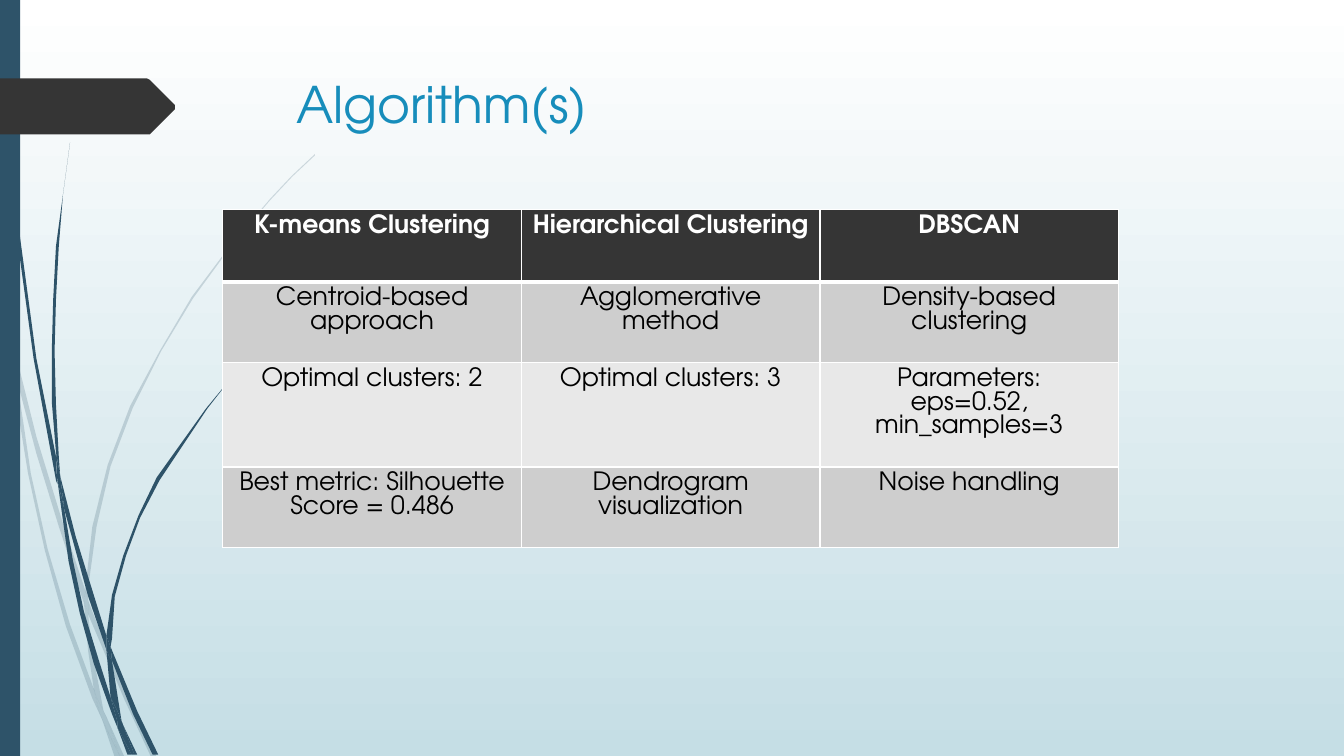
from lxml import etree
from pptx import Presentation
from pptx.dml.color import RGBColor
from pptx.enum.shapes import MSO_SHAPE as SHAPE
from pptx.enum.text import MSO_ANCHOR as ANCHOR, PP_ALIGN as ALIGN
from pptx.oxml.ns import qn
from pptx.util import Pt

FONT = "TeX Gyre Adventor"
COLORS = {
    "sky": "FFFFFF", "mist": "C5DEE5", "stem": "2E5369", "dark": "353535",
    "title": "178DBB", "white": "FFFFFF", "black": "000000",
    "band": "CECECE", "light": "E8E8E8",
}

# Outlines of the grass blades at the left edge, in points
PALE_BLADES = [
    [(7.9, 252), (6.5, 231.8), (0, 203), (0, 215.3), (7.2, 247.7)],
    [(41.8, 375.8), (60.5, 431.3), (61.2, 421.9), (44.6, 374.4), (26, 311.8),
     (10.1, 248.4), (12.2, 270.7), (25.9, 323.5)],
    [(66.2, 437), (63.4, 429.1), (63.4, 439.2), (88.6, 499.7), (108, 540.7),
     (111.6, 540.7), (91.4, 498.2)],
    [(85.7, 540.7), (89.3, 540.7), (75.6, 511.9)],
    [(67, 491.8), (50.4, 445.7), (34.5, 392.2), (22.3, 337.7), (17, 304.2),
     (12.2, 270.7), (7.9, 252), (13.2, 295.2), (20.2, 338.4), (31.6, 393),
     (46.8, 447.1), (66.2, 499), (72.7, 514.1), (71.3, 509)],
    [(60.5, 431.3), (62.6, 465.1), (67, 491.8), (69.1, 498.2), (75.6, 511.9),
     (74.2, 508.3), (65.5, 465.1), (63.4, 439.2), (63.4, 437.8)],
    [(63.4, 420.5), (68.6, 375.8), (79.2, 332.6), (95.3, 291.2), (115.2, 251.3),
     (138.4, 212.8), (164.9, 176.4), (193, 142.6), (208.8, 126), (224.6, 110.9),
     (224.6, 110.2), (208.1, 126), (193, 141.8), (164.2, 175.7), (137.3, 212),
     (113.8, 250.6), (93.2, 290.2), (77, 331.9), (65.9, 375.7), (61.2, 420.5),
     (61.2, 421.9), (63.4, 429.1)],
    [(72.7, 514.1), (82.1, 540.7), (85.7, 540.7)],
    [(63.4, 437.8), (63.4, 439.2), (63.4, 429.1), (61.2, 421.9), (60.5, 431.3)],
    [(69.1, 498.2), (67, 491.8), (71.3, 509), (72.7, 514.1), (85.7, 540.7),
     (75.6, 511.9)],
]
DARK_BLADES = [
    [(5, 79.2), (12.2, 167.8), (23.8, 255.6), (40.3, 343.4), (41, 346.3),
     (39.6, 329), (39.6, 326.2), (25.9, 255.6), (13.7, 167), (5.8, 78.5),
     (3.6, 34.6), (2.9, 0), (2.2, 0), (2.9, 34.6)],
    [(63.4, 426.2), (76.3, 464.4), (76.3, 455.8), (76.3, 454.3), (67, 424.8),
     (54, 382.9), (43.2, 339.8), (46.1, 363.6)],
    [(81.4, 467.3), (79.2, 461.5), (79.9, 472.3), (95, 509.8), (109.4, 539.3),
     (113, 539.3), (97.9, 508.3)],
    [(79.2, 497.5), (70.6, 473), (60.1, 437), (51.8, 400.3), (46.1, 363.6),
     (41, 343.4), (49, 401), (56.9, 437.8), (67, 474.5), (79.9, 509.8),
     (84.2, 519.8), (83.5, 516.2)],
    [(43.2, 339.8), (41.8, 326.2), (39.5, 288.7), (38.9, 251.3), (39.5, 213.8),
     (41.8, 176.4), (45.4, 139), (50.4, 101.5), (44.6, 139), (40.3, 176.4),
     (38.1, 213.5), (37.4, 251.3), (37.4, 287.3), (39.6, 323.3)],
    [(95.8, 539.3), (97.9, 539.3), (87.8, 517.7)],
    [(41, 343.4), (46.1, 363.6), (43.2, 339.8), (39.6, 323.3), (39.6, 326.2)],
    [(79.9, 455.8), (82.5, 426.3), (90, 397.4), (100.5, 369.5), (113.8, 342.7),
     (147.6, 292.3), (166.3, 269.3), (176.4, 258.5), (187.9, 247.7),
     (187.2, 247.7), (176.4, 257.8), (166.3, 268.6), (146.9, 291.6),
     (112.3, 341.3), (98.7, 368.5), (87.8, 396.7), (80.2, 425.2),
     (76.3, 454.3), (79.2, 461.5)],
    [(84.2, 519.8), (91.4, 539.3), (94.3, 539.3)],
    [(76.3, 464.4), (79.2, 497.5), (83.5, 508.3), (87.8, 517.7), (87.1, 515.5),
     (79.9, 472.3), (78.5, 468.7)],
    [(76.3, 464.4), (78.5, 468.7), (79.9, 472.3), (79.2, 461.5), (76.3, 454.3)],
    [(83.5, 508.3), (79.2, 497.5), (83.5, 516.2), (84.2, 519.8), (93.6, 539.3),
     (95.8, 539.3), (87.8, 517.7)],
]
PAGE_TAG = [(0, 56.2), (105.1, 56.2), (106.6, 56.9), (124.6, 74.9), (125, 76.3),
            (124.6, 77.8), (106.6, 95.8), (105.1, 96.5), (0, 95.8)]

ALGORITHMS = [
    ["K-means Clustering", "Hierarchical Clustering", "DBSCAN"],
    ["Centroid-based approach", "Agglomerative method", "Density-based clustering"],
    ["Optimal clusters: 2", "Optimal clusters: 3",
     "Parameters:\neps=0.52, min_samples=3"],
    ["Best metric: Silhouette Score = 0.486", "Dendrogram visualization",
     "Noise handling"],
]
ROW_HEIGHTS = [51.8, 57.6, 74.4, 57.6]


def rgb(name):
    return RGBColor.from_string(COLORS[name])


class SlideBuilder:
    def __init__(self, slide, font):
        self.slide, self.font = slide, font

    def background(self, top, bottom):
        fill = self.slide.background.fill
        fill.gradient()
        fill.gradient_angle = 270
        for stop, name, pos in zip(fill.gradient_stops, (top, bottom), (0, 1)):
            stop.color.rgb = rgb(name)
            stop.position = pos

    def paint(self, sp, color, alpha=None):
        """Give a shape a plain fill, with alpha in percent, and no line or shadow."""
        sp.shadow.inherit = False
        sp.line.fill.background()
        sp.fill.solid()
        sp.fill.fore_color.rgb = rgb(color)
        if alpha is not None:
            clr = sp.fill._xPr.find(".//" + qn("a:srgbClr"))
            etree.SubElement(clr, qn("a:alpha"), val=str(alpha * 1000))

    def outline(self, points, color, alpha=None):
        fb = self.slide.shapes.build_freeform(*points[0], scale=Pt(1))
        fb.add_line_segments(points[1:], close=True)
        self.paint(fb.convert_to_shape(), color, alpha)

    def rect(self, x, y, w, h, color):
        sp = self.slide.shapes.add_shape(SHAPE.RECTANGLE, Pt(x), Pt(y), Pt(w), Pt(h))
        self.paint(sp, color)

    def style(self, p, size, color, bold=False):
        f = p.font
        f.name, f.size, f.bold = self.font, Pt(size), bold
        f.color.rgb = rgb(color)

    def text(self, x, y, w, h, text, size, color):
        tf = self.slide.shapes.add_textbox(Pt(x), Pt(y), Pt(w), Pt(h)).text_frame
        tf.word_wrap = True
        tf.text = text
        self.style(tf.paragraphs[0], size, color)

    def borders(self, cell, bottom):
        tcPr = cell._tc.get_or_add_tcPr()
        widths = {"lnL": 1, "lnR": 1, "lnT": 1, "lnB": bottom}
        for i, (tag, width) in enumerate(widths.items()):
            ln = etree.Element(qn("a:" + tag), w=str(Pt(width)))
            fill = etree.SubElement(ln, qn("a:solidFill"))
            etree.SubElement(fill, qn("a:srgbClr"), val=COLORS["white"])
            tcPr.insert(i, ln)

    def table(self, x, y, col_width, heights, rows):
        n = len(rows[0])
        table = self.slide.shapes.add_table(
            len(rows), n, Pt(x), Pt(y), Pt(col_width * n), Pt(sum(heights))).table
        for col in table.columns:
            col.width = Pt(col_width)
        for i, (row, height) in enumerate(zip(rows, heights)):
            table.rows[i].height = Pt(height)
            head = i == 0
            fill = "dark" if head else "band" if i % 2 else "light"
            for j, text in enumerate(row):
                cell = table.cell(i, j)
                cell.text = text
                cell.vertical_anchor = ANCHOR.TOP
                cell.fill.solid()
                cell.fill.fore_color.rgb = rgb(fill)
                # The rule under the header row is also the top of the next row
                self.borders(cell, 3 if head else 1)
                for p in cell.text_frame.paragraphs:
                    p.alignment = ALIGN.CENTER
                    p.line_spacing = Pt(16.8)
                    self.style(p, 18, "white" if head else "black", head)


def main():
    prs = Presentation()
    prs.slide_width, prs.slide_height = Pt(960), Pt(540)
    s = SlideBuilder(prs.slides.add_slide(prs.slide_layouts[6]), FONT)
    s.background("sky", "mist")
    for blade in PALE_BLADES:
        s.outline(blade, "stem", 20)
    for blade in DARK_BLADES:
        s.outline(blade, "stem")
    s.rect(0, 0, 14.4, 540, "stem")
    s.outline(PAGE_TAG, "dark")
    s.text(204.5, 49, 702, 100.8, "Algorithm(s)", 36, "title")
    s.table(159.1, 149.8, 213.3, ROW_HEIGHTS, ALGORITHMS)
    prs.save("out.pptx")


if __name__ == "__main__":
    main()
